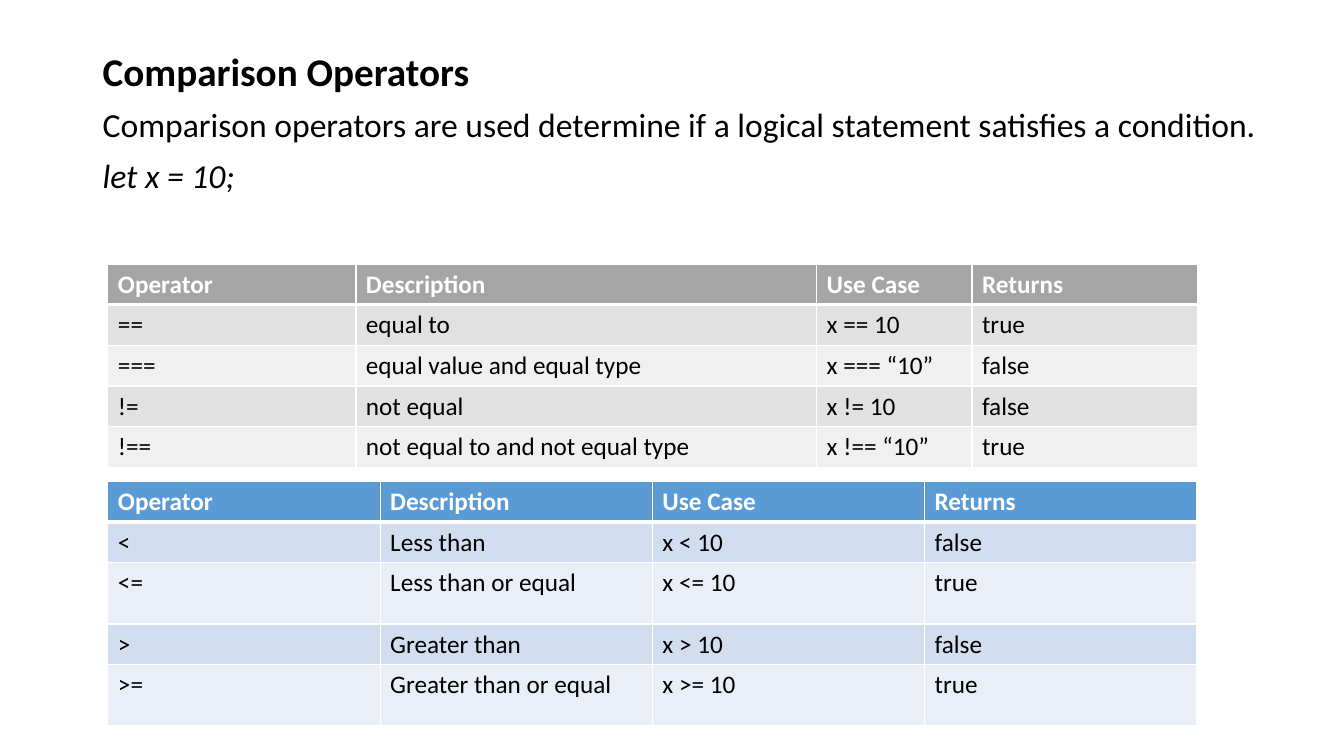
from lxml.etree import SubElement
from pptx import Presentation
from pptx.dml.color import RGBColor
from pptx.oxml.ns import qn
from pptx.util import Inches, Pt

FONT = "Calibri"
GRAY = ("A5A5A5", "E1E1E1", "F0F0F0")
BLUE = ("5B9BD5", "D2DEEF", "EAEFF7")
EQUALITY_HEIGHTS = [0.39, 0.405, 0.405, 0.405, 0.405]
ORDER_HEIGHTS = [0.4, 0.4, 0.61, 0.4, 0.61]

EQUALITY_ROWS = [
    ("Operator", "Description", "Use Case"),
    ("==", "equal to", "x == 10"),
    ("===", "equal value and equal type", "x === “10”"),
    ("!=", "not equal", "x != 10"),
    ("!==", "not equal to and not equal type", "x !== “10”"),
]
EQUALITY_RETURNS = [("Returns",), ("true",), ("false",), ("false",), ("true",)]
ORDER_ROWS = [
    ("Operator", "Description", "Use Case", "Returns"),
    ("<", "Less than", "x < 10", "false"),
    ("<=", "Less than or equal", "x <= 10", "true"),
    (">", "Greater than", "x > 10", "false"),
    (">=", "Greater than or equal", "x >= 10", "true"),
]


def rgb(color):
    return RGBColor.from_string(color)


def style(p, size, color, bold=False, italic=False):
    for r in p.runs:
        r.font.name = FONT
        r.font.size = Pt(size)
        r.font.color.rgb = rgb(color)
        r.font.bold = bold
        r.font.italic = italic


def add_border(cell, side, width):
    ln = SubElement(cell._tc.get_or_add_tcPr(), qn(f"a:ln{side}"), w=str(Pt(width)))
    fill = SubElement(ln, qn("a:solidFill"))
    SubElement(fill, qn("a:srgbClr"), val="FFFFFF")


def add_intro(s, lines):
    box = s.shapes.add_textbox(Inches(0.92), Inches(0.47), Inches(11.74), Inches(6.91))
    tf = box.text_frame
    tf.word_wrap = True
    for i, (text, size, bold, italic) in enumerate(lines):
        p = tf.add_paragraph() if i else tf.paragraphs[0]
        p.text = text
        p.line_spacing = 0.9
        p.space_before = Pt(10)
        style(p, size, "000000", bold, italic)


def fill_cell(cell, text, row, colors):
    header = row == 0
    cell.text = text
    style(cell.text_frame.paragraphs[0], 18, "FFFFFF" if header else "000000", header)
    widths = {"L": 1, "R": 1, "T": 3 if row == 1 else 1, "B": 3 if header else 1}
    for side, width in widths.items():
        add_border(cell, side, width)
    band = 0 if header else 2 - row % 2
    cell.fill.solid()
    cell.fill.fore_color.rgb = rgb(colors[band])


def add_operator_table(s, left, top, widths, heights, rows, colors):
    frame = s.shapes.add_table(len(rows), len(widths), Inches(left), Inches(top),
                               Inches(sum(widths)), Inches(sum(heights)))
    table = frame.table
    for column, width in zip(table.columns, widths):
        column.width = Inches(width)
    for i, (height, texts) in enumerate(zip(heights, rows)):
        table.rows[i].height = Inches(height)
        for j, text in enumerate(texts):
            fill_cell(table.cell(i, j), text, i, colors)


def main():
    prs = Presentation()
    prs.slide_width = Inches(13.33)
    prs.slide_height = Inches(7.5)
    s = prs.slides.add_slide(prs.slide_layouts[6])
    add_intro(s, [
        ("Comparison Operators", 28, True, False),
        ("Comparison operators are used determine if a logical statement "
         "satisfies a condition.", 24, False, False),
        ("let x = 10;", 24, False, True),
    ])
    add_operator_table(s, 1.07, 2.62, [2.46, 4.57, 3.78], EQUALITY_HEIGHTS, EQUALITY_ROWS, GRAY)
    add_operator_table(s, 9.64, 2.62, [2.24], EQUALITY_HEIGHTS, EQUALITY_RETURNS, GRAY)
    add_operator_table(s, 1.07, 4.78, [2.7] * 4, ORDER_HEIGHTS, ORDER_ROWS, BLUE)
    prs.save("out.pptx")


if __name__ == "__main__":
    main()
